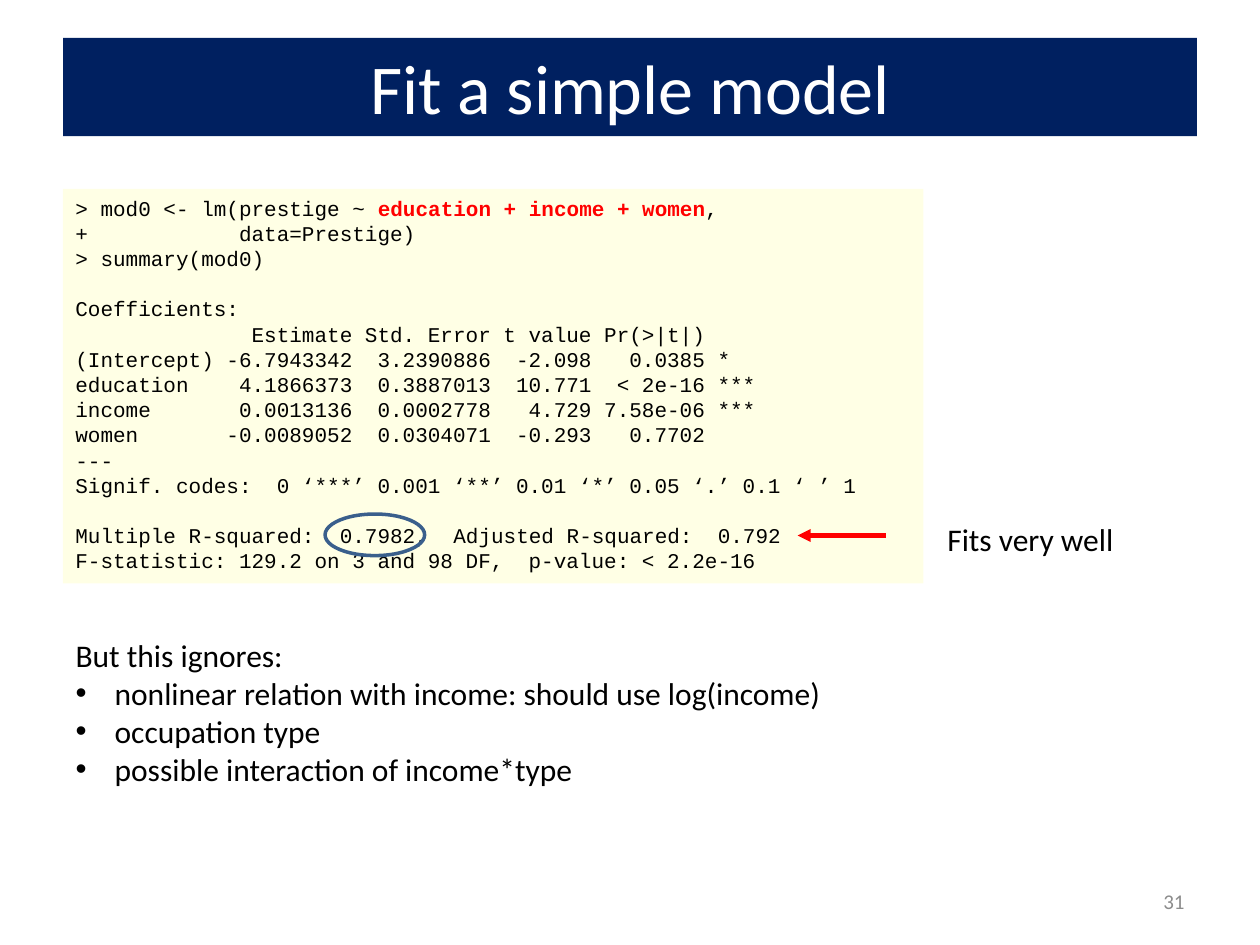
from dataclasses import dataclass

from lxml import etree
from pptx import Presentation
from pptx.dml.color import RGBColor
from pptx.enum.shapes import MSO_CONNECTOR, MSO_SHAPE
from pptx.enum.text import MSO_ANCHOR, MSO_AUTO_SIZE, PP_ALIGN
from pptx.oxml.ns import qn
from pptx.util import Inches, Pt

LEFT, CENTER, RIGHT = PP_ALIGN.LEFT, PP_ALIGN.CENTER, PP_ALIGN.RIGHT
TOP, MIDDLE = MSO_ANCHOR.TOP, MSO_ANCHOR.MIDDLE
SANS, MONO = "Calibri", "Courier New"
BLACK, RED = "000000", "FF0000"

TERMS = "education + income + women"
CODE = f"""\
> mod0 <- lm(prestige ~ {TERMS},
+            data=Prestige)
> summary(mod0)

Coefficients:
              Estimate Std. Error t value Pr(>|t|)
(Intercept) -6.7943342  3.2390886  -2.098   0.0385 *
education    4.1866373  0.3887013  10.771  < 2e-16 ***
income       0.0013136  0.0002778   4.729 7.58e-06 ***
women       -0.0089052  0.0304071  -0.293   0.7702
---
Signif. codes:  0 ‘***’ 0.001 ‘**’ 0.01 ‘*’ 0.05 ‘.’ 0.1 ‘ ’ 1

Multiple R-squared:  0.7982,\tAdjusted R-squared:  0.792
F-statistic: 129.2 on 3 and 98 DF,  p-value: < 2.2e-16"""

IGNORED = """\
But this ignores:
nonlinear relation with income: should use log(income)
occupation type
possible interaction of income*type"""


@dataclass
class Box:
    left: float
    top: float
    width: float
    height: float

    def lengths(self) -> tuple:
        return tuple(map(Inches, (self.left, self.top, self.width, self.height)))


@dataclass
class Style:
    size: float
    color: str = BLACK
    font: str = SANS
    align: PP_ALIGN = LEFT
    anchor: MSO_ANCHOR = TOP


def paint(target, color: str) -> None:
    """Give a fill or a line a solid colour."""
    fill = getattr(target, "fill", target)
    fill.solid()
    fill.fore_color.rgb = RGBColor.from_string(color)


def place(shape, box: Box) -> None:
    shape.left, shape.top, shape.width, shape.height = box.lengths()


def write(shape, text: str, style: Style, grow: bool = False) -> None:
    frame = shape.text_frame
    frame.text = text
    frame.word_wrap = True
    frame.auto_size = MSO_AUTO_SIZE.SHAPE_TO_FIT_TEXT if grow else MSO_AUTO_SIZE.NONE
    frame.vertical_anchor = style.anchor
    for para in frame.paragraphs:
        para.alignment = style.align
        para.font.size = Pt(style.size)
        for run in para.runs:
            run.font.size = Pt(style.size)
            run.font.name = style.font
            run.font.color.rgb = RGBColor.from_string(style.color)


def mark(para, words: str, style: Style) -> None:
    """Make the given words of a paragraph bold and red."""
    first = para.runs[0]
    head, tail = first.text.split(words)
    first.text = head
    for text in (words, tail):
        run = para.add_run()
        run.text = text
        run.font.size = Pt(style.size)
        run.font.name = style.font
        run.font.bold = text == words
        run.font.color.rgb = RGBColor.from_string(RED if text == words else style.color)


def indent(para, bullet: bool) -> None:
    props = para._p.get_or_add_pPr()
    size = Inches(0.31) if bullet else 0
    props.set("marL", str(size))
    props.set("indent", str(-size))
    para.space_before = Pt(0)
    if bullet:
        font = etree.SubElement(props, qn("a:buFont"))
        font.set("typeface", "Arial")
        etree.SubElement(props, qn("a:buChar")).set("char", "•")
    else:
        etree.SubElement(props, qn("a:buNone"))


def label(slide, box: Box, text: str, style: Style, grow: bool = False) -> None:
    write(slide.shapes.add_textbox(*box.lengths()), text, style, grow)


def arrow(slide, start: float, end: float, level: float) -> None:
    line = slide.shapes.add_connector(
        MSO_CONNECTOR.STRAIGHT, *map(Inches, (start, level, end, level)))
    paint(line.line, RED)
    line.line.width = Pt(2.5)
    tip = etree.SubElement(line.line._get_or_add_ln(), qn("a:tailEnd"))
    tip.set("type", "triangle")
    etree.SubElement(line._element.spPr, qn("a:effectLst"))


def main() -> None:
    deck = Presentation()
    deck.slide_width, deck.slide_height = Inches(10), Inches(7.5)
    slide = deck.slides.add_slide(deck.slide_layouts[1])
    shapes = slide.shapes

    # Title band
    title = shapes.title
    place(title, Box(0.5, 0.3, 9, 0.78))
    paint(title, "002060")
    write(title, "Fit a simple model", Style(40, "FFFFFF", SANS, CENTER, MIDDLE))

    # Model output on pale yellow
    panel = shapes.add_shape(MSO_SHAPE.RECTANGLE, *Box(0.5, 1.5, 6.83, 3.13).lengths())
    panel.shadow.inherit = False
    paint(panel, "FFFF00")
    shade = panel._element.spPr.find(qn("a:solidFill"))[0]
    etree.SubElement(shade, qn("a:alpha")).set("val", "10000")
    panel.line.fill.background()
    code = Style(12, font=MONO)
    write(panel, CODE, code, grow=True)
    mark(panel.text_frame.paragraphs[0], TERMS, code)

    # Ring and arrow around the fit
    ring = shapes.add_shape(MSO_SHAPE.OVAL, *Box(2.58, 4.08, 0.79, 0.33).lengths())
    ring.shadow.inherit = False
    ring.fill.background()
    paint(ring.line, "3A5F8C")
    ring.line.width = Pt(2)
    arrow(slide, 7.03, 6.33, 4.25)
    label(slide, Box(7.42, 4.08, 1.58, 0.4), "Fits very well", Style(18), grow=True)

    # What the model leaves out
    body = slide.placeholders[1]
    place(body, Box(0.5, 5, 8.67, 1.31))
    write(body, IGNORED, Style(18), grow=True)
    for row, para in enumerate(body.text_frame.paragraphs):
        indent(para, bullet=row > 0)

    # Page number
    label(slide, Box(7.17, 6.95, 2.33, 0.4), "31",
          Style(12, "8C8C8C", SANS, RIGHT, MIDDLE))

    deck.save("out.pptx")


if __name__ == "__main__":
    main()
